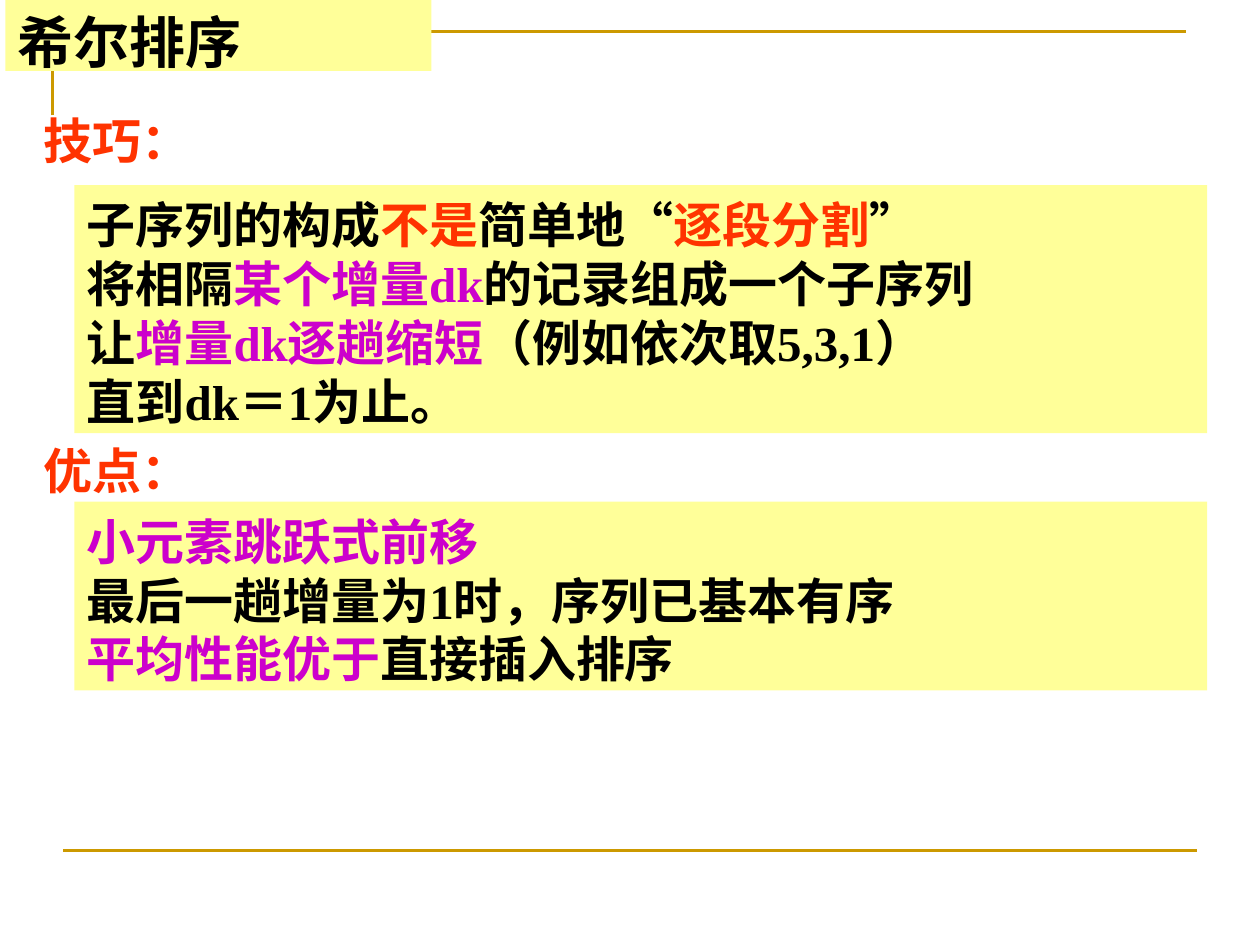
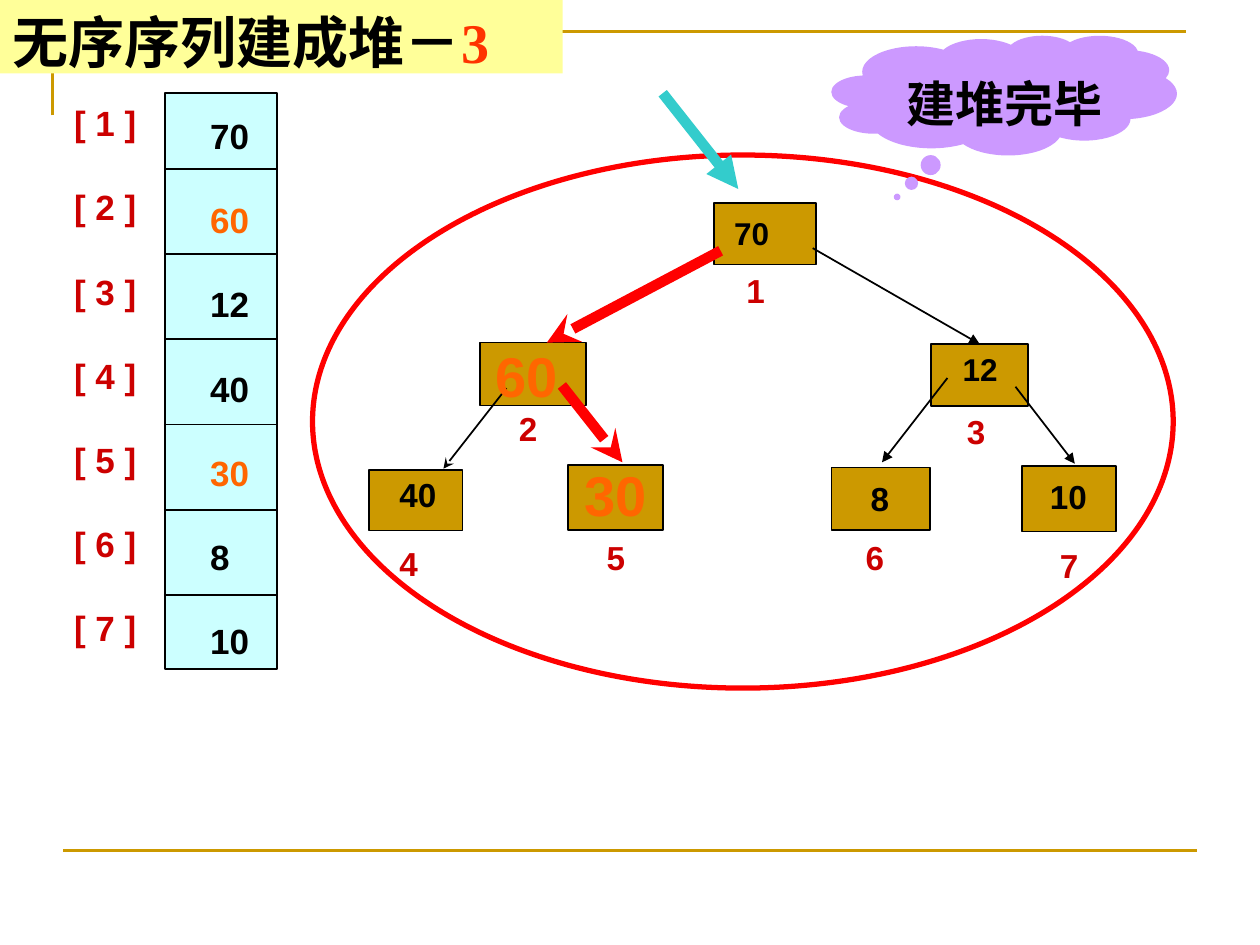
from lxml.etree import SubElement
from pptx import Presentation
from pptx.dml.color import RGBColor
from pptx.enum.shapes import MSO_CONNECTOR, MSO_SHAPE
from pptx.enum.text import MSO_ANCHOR, MSO_AUTO_SIZE, PP_ALIGN
from pptx.oxml.ns import qn
from pptx.util import Pt

BLACK = RGBColor(0x00, 0x00, 0x00)
WHITE = RGBColor(0xFF, 0xFF, 0xFF)
GOLD = RGBColor(0xCC, 0x99, 0x00)
YELLOW = RGBColor(0xFF, 0xFF, 0x99)
VERMILION = RGBColor(0xFF, 0x33, 0x00)
MAGENTA = RGBColor(0xCC, 0x00, 0xCC)
RED = RGBColor(0xFF, 0x00, 0x00)
DARK_RED = RGBColor(0xCC, 0x00, 0x00)
ORANGE = RGBColor(0xFF, 0x66, 0x00)
TEAL = RGBColor(0x33, 0xCC, 0xCC)
PALE_CYAN = RGBColor(0xCC, 0xFF, 0xFF)
LILAC = RGBColor(0xCC, 0x99, 0xFF)
SERIF = "Times New Roman"
SANS = "Arial"
CHINESE = "Noto Sans CJK SC"


def format_shape(shape, lines=(), fill=None, border=None, border_width=1, size=28, font=SERIF,
                 left=7.2, top=5.6, right=7.2, gap=0, align=PP_ALIGN.LEFT, wrap=True):
    shape.shadow.inherit = False
    if fill is None:
        shape.fill.background()
    else:
        shape.fill.solid()
        shape.fill.fore_color.rgb = fill
    if border is None:
        shape.line.fill.background()
    else:
        shape.line.color.rgb = border
        shape.line.width = Pt(border_width)
    if not lines:
        return
    frame = shape.text_frame
    frame.word_wrap = wrap
    frame.auto_size = MSO_AUTO_SIZE.NONE
    frame.vertical_anchor = MSO_ANCHOR.TOP
    frame.margin_left, frame.margin_top = Pt(left), Pt(top)
    frame.margin_right, frame.margin_bottom = Pt(right), Pt(0)
    for number, runs in enumerate(lines):
        paragraph = frame.add_paragraph() if number else frame.paragraphs[0]
        paragraph.alignment = align
        paragraph.line_spacing = Pt(size * 1.2)
        paragraph.space_before = Pt(gap if number else 0)
        for text, color in runs:
            run = paragraph.add_run()
            run.text = text
            run.font.size = Pt(size)
            run.font.bold = True
            run.font.name = font
            run.font.color.rgb = color
            SubElement(run._r.get_or_add_rPr(), qn("a:ea"), typeface=CHINESE)


def add_line(slide, start, end, color=BLACK, width=1, arrow=None):
    line = slide.shapes.add_connector(
        MSO_CONNECTOR.STRAIGHT, *[Pt(value) for value in (*start, *end)])
    line.line.color.rgb = color
    line.line.width = Pt(width)
    if arrow:
        SubElement(line.line._get_or_add_ln(), qn("a:tailEnd"), type=arrow)
    SubElement(line.element.spPr, qn("a:effectLst"))
    return line


presentation = Presentation()
presentation.slide_width = Pt(720)
presentation.slide_height = Pt(540)
layout = presentation.slide_layouts[5]

titles = [
    ([("希尔排序", BLACK)], 3, 243.5, 40.5),
    ([("无序序列建成堆－", BLACK), ("3", VERMILION)], 0, 321.5, 42),
]
slides = []
for runs, left, width, height in titles:
    slide = presentation.slides.add_slide(layout)
    title = slide.shapes.title
    title.left, title.top, title.width, title.height = Pt(left), Pt(0), Pt(width), Pt(height)
    format_shape(title, [runs], fill=YELLOW, size=32, top=4.5)
    slides.append(slide)
shell_slide, heap_slide = slides

builder = shell_slide.shapes.build_freeform(Pt(30), Pt(66))
builder.add_line_segments([(Pt(30), Pt(18)), (Pt(678), Pt(18))], close=False)
corner = builder.convert_to_shape()
format_shape(corner, border=GOLD, border_width=1.5)
footer = add_line(shell_slide, (36, 486), (684, 486), GOLD, 1.5)
for number, shape in enumerate((corner, footer)):
    shape.element[0][0].set("id", str(101 + number))
    layout.shapes.element.append(shape.element)

sections = [
    ("技巧：", 57.6, 105.8, 141.8, [
        [("子序列的构成", BLACK), ("不是", VERMILION), ("简单地“", BLACK),
         ("逐段分割", VERMILION), ("”", BLACK)],
        [("将相隔", BLACK), ("某个增量dk", MAGENTA), ("的记录组成一个子序列", BLACK)],
        [("让", BLACK), ("增量dk逐趟缩短", MAGENTA), ("（例如依次取5,3,1）", BLACK)],
        [("直到dk＝1为止。", BLACK)],
    ]),
    ("优点：", 246.2, 286.6, 108, [
        [("小元素跳跃式前移", MAGENTA)],
        [("最后一趟增量为1时，序列已基本有序", BLACK)],
        [("平均性能优于", MAGENTA), ("直接插入排序", BLACK)],
    ]),
]
for heading, heading_top, panel_top, panel_height, lines in sections:
    panel = shell_slide.shapes.add_shape(
        MSO_SHAPE.RECTANGLE, Pt(42.5), Pt(panel_top), Pt(647.3), Pt(panel_height))
    format_shape(panel, lines, fill=YELLOW)
    label = shell_slide.shapes.add_textbox(Pt(18), Pt(heading_top), Pt(132.5), Pt(41))
    format_shape(label, [[(heading, VERMILION)]])

ellipse = heap_slide.shapes.add_shape(
    MSO_SHAPE.OVAL, Pt(178.6), Pt(88.6), Pt(491.8), Pt(304.6))
format_shape(ellipse, fill=WHITE, border=RED, border_width=3)

heap = [
    ("70", 18, BLACK, (408.2, 115.9, 58.3, 35.3), (419.5, 133.7), (426.5, 166.3)),
    ("60", 32, ORANGE, (274.3, 195.8, 60.5, 36), (283, 215.4), (296.5, 245.1)),
    ("12", 18, BLACK, (532.1, 196.6, 55.4, 35.3), (550, 211.4), (552.5, 246.9)),
    ("40", 19, BLACK, (211, 268.6, 53.3, 34.6), (228.3, 282.9), (228.3, 322.3)),
    ("30", 32, ORANGE, (324.7, 265.7, 54, 37.4), (334, 283.4), (346.7, 318.9)),
    ("8", 19, BLACK, (475.2, 267.1, 56.2, 36), (497.5, 285.1), (494.7, 318.9)),
    ("10", 19, BLACK, (583.9, 266.4, 54, 37.4), (600, 284), (605.6, 323.4)),
]
nodes = []
for value, size, color, bounds, value_place, index_place in heap:
    node = heap_slide.shapes.add_shape(MSO_SHAPE.RECTANGLE, *[Pt(length) for length in bounds])
    format_shape(node, fill=GOLD, border=BLACK)
    nodes.append(node)

arrows = [
    ((289.4, 221.8), (253.4, 267.8), BLACK, 1, "stealth"),
    ((411.8, 143.3), (312.5, 195.8), RED, 6, "stealth"),
    ((321.1, 220.3), (355.7, 264.2), RED, 6, "stealth"),
    ((541.4, 216), (504, 264.2), BLACK, 1, "triangle"),
    ((580.3, 221), (614.2, 265), BLACK, 1, "triangle"),
    ((378.7, 53.3), (421.9, 108), TEAL, 6, "triangle"),
]
for arrow in arrows:
    add_line(heap_slide, *arrow)
right_branch = add_line(heap_slide, (464.4, 141.8), (559.8, 196.6), arrow="triangle")
right_branch.end_connect(nodes[2], 0)

for index, (value, size, color, bounds, value_place, index_place) in enumerate(heap, 1):
    for text, text_size, text_color, (left, middle) in (
            (value, size, color, value_place), (str(index), 19, DARK_RED, index_place)):
        label = heap_slide.shapes.add_textbox(
            Pt(left - 5.8), Pt(middle - 0.63 * text_size - 2.9),
            Pt(text_size * 1.2 + 11.6), Pt(text_size * 1.2 + 5.8))
        format_shape(label, [[(text, text_color)]], size=text_size, font=SANS,
                     left=5.8, top=2.9, right=0, wrap=False)

array = heap_slide.shapes.add_shape(
    MSO_SHAPE.RECTANGLE, Pt(94.3), Pt(53.3), Pt(64), Pt(329))
format_shape(array, fill=PALE_CYAN, border=BLACK)
for row in range(6):
    row_top = 96.5 + row * 48.7
    add_line(heap_slide, (93.6, row_top), (158.4, row_top))

index_lines = [[(f"[ {index} ]", DARK_RED)] for index in range(1, len(heap) + 1)]
value_lines = [[(node[0], node[2])] for node in heap]
for lines, left, top, width in ((index_lines, 35.3, 54.7, 50.4), (value_lines, 113, 62.1, 36.7)):
    column = heap_slide.shapes.add_textbox(Pt(left), Pt(top), Pt(width), Pt(320))
    format_shape(column, lines, size=20, font=SANS, top=3.6, gap=24, wrap=False)

cloud = heap_slide.shapes.add_shape(
    MSO_SHAPE.CLOUD_CALLOUT, Pt(475.2), Pt(20.2), Pt(197.3), Pt(68.4))
cloud.adjustments[0] = -0.31
cloud.adjustments[1] = 0.85
format_shape(cloud, [[("建堆完毕", BLACK)]], fill=LILAC, left=14, top=11.6, right=0,
             align=PP_ALIGN.CENTER)

presentation.save("out.pptx")
